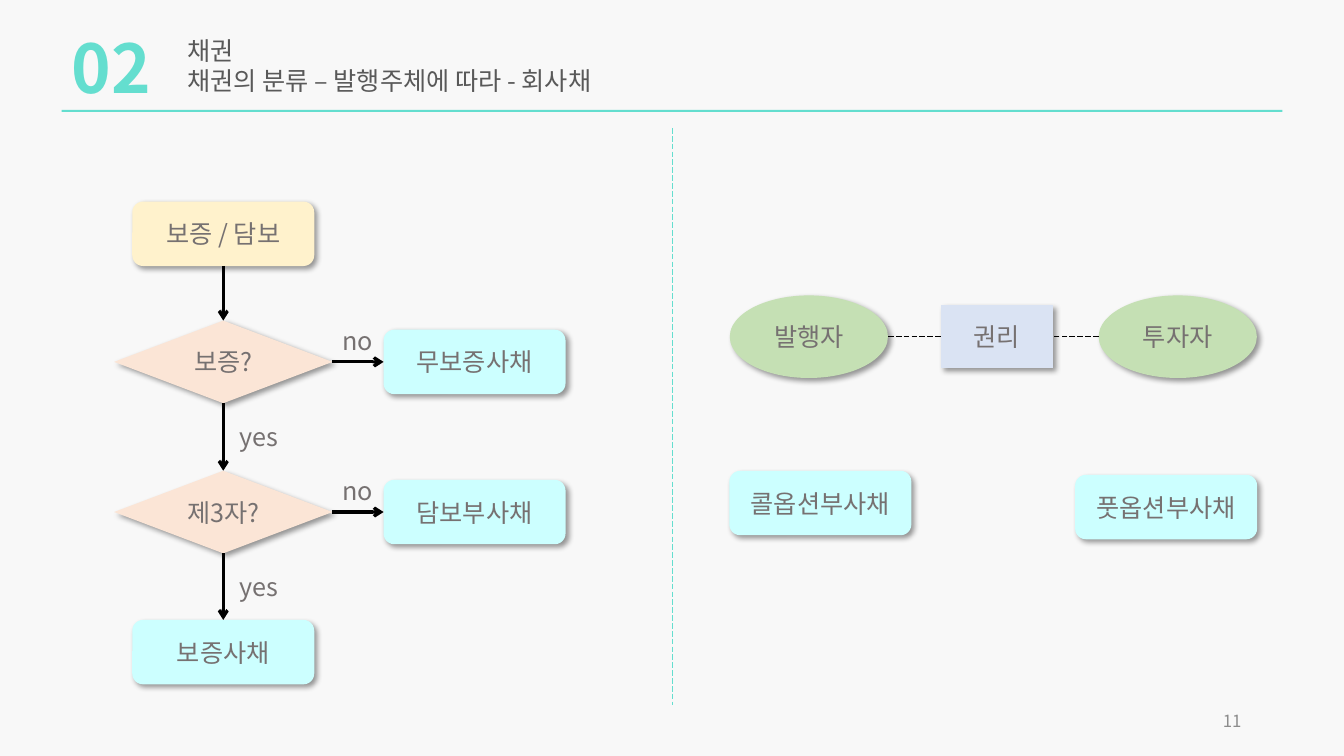
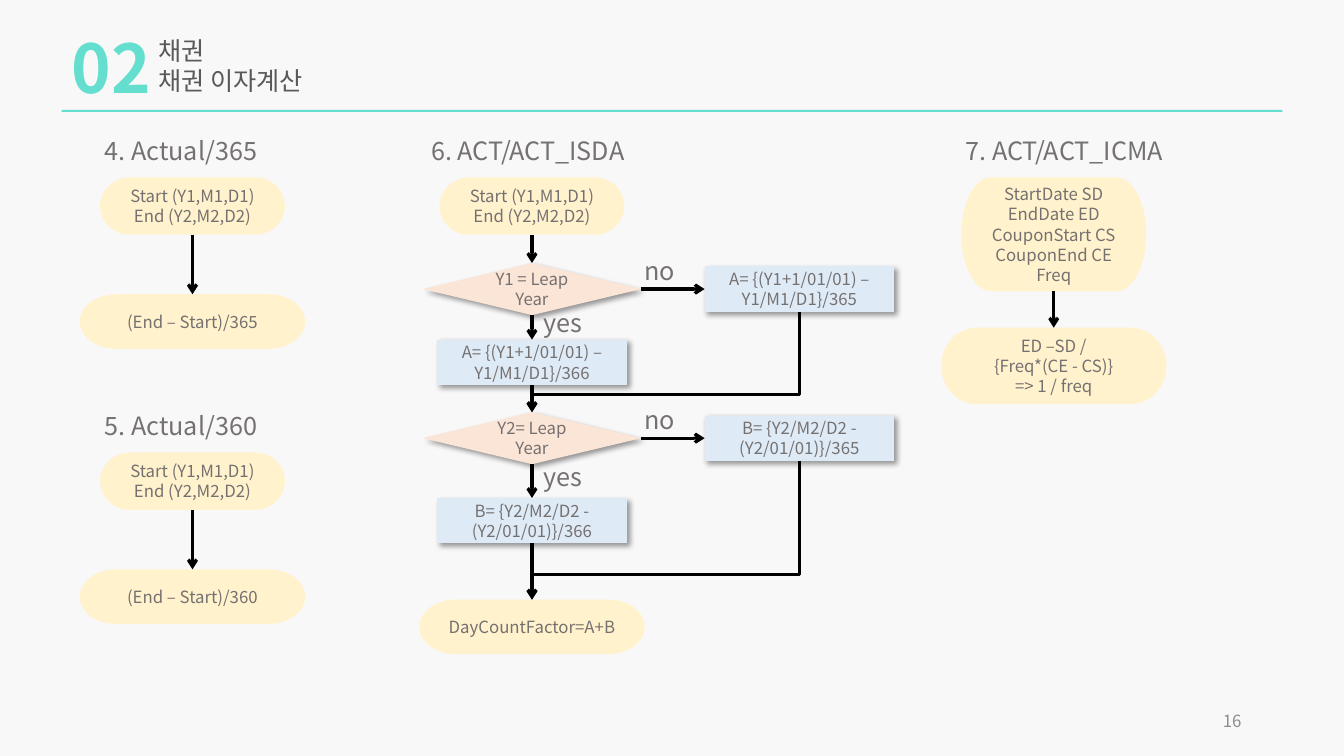
from lxml import etree
from pptx import Presentation
from pptx.dml.color import RGBColor
from pptx.enum.dml import MSO_LINE
from pptx.enum.shapes import MSO_CONNECTOR, MSO_SHAPE
from pptx.enum.text import MSO_ANCHOR, MSO_AUTO_SIZE, PP_ALIGN
from pptx.oxml.ns import qn
from pptx.util import Pt

STRAIGHT, ELBOW = MSO_CONNECTOR.STRAIGHT, MSO_CONNECTOR.ELBOW
LONG_DASH = MSO_LINE.LONG_DASH
LEFT, CENTER, RIGHT = PP_ALIGN.LEFT, PP_ALIGN.CENTER, PP_ALIGN.RIGHT
TOP, MIDDLE = MSO_ANCHOR.TOP, MSO_ANCHOR.MIDDLE
ROUNDED, OVAL = MSO_SHAPE.ROUNDED_RECTANGLE, MSO_SHAPE.OVAL
DECISION = MSO_SHAPE.FLOWCHART_DECISION
PROCESS = MSO_SHAPE.FLOWCHART_PROCESS
TERMINATOR = MSO_SHAPE.FLOWCHART_TERMINATOR
SITE_TOP, SITE_LEFT, SITE_BOTTOM, SITE_RIGHT = range(4)

FONT = "Noto Sans CJK KR"
COLORS = {
    "background": "F8F8F8", "accent": "64DECF", "title": "595959",
    "text": "767171", "page": "8C8C8C", "black": "000000",
    "yellow": "FFF2CC", "peach": "FBE5D6", "aqua": "CCFFFF",
    "green": "C5E0B4", "lavender": "DAE3F3", "sky": "DEEBF7",
}
# kind: shape, width, height, fill, shadow, text size
NODES = {
    "topic": (ROUNDED, 130, 46, "yellow", True, 18),
    "bond": (ROUNDED, 130, 46, "aqua", True, 18),
    "question": (DECISION, 156, 59, "peach", True, 18),
    "party": (OVAL, 113, 59, "green", True, 18),
    "right": (PROCESS, 80, 45, "lavender", True, 18),
    "leap": (DECISION, 156, 37.2, "peach", True, 12),
    "formula": (PROCESS, 135.4, 32.4, "sky", True, 12),
    "dates": (TERMINATOR, 132, 41, "yellow", False, 12),
    "result": (TERMINATOR, 161, 39, "yellow", False, 12),
}


def rgb(name):
    return RGBColor.from_string(COLORS[name])


def write(frame, text, size, color="text", align=LEFT, anchor=TOP, bold=False):
    frame.text = text
    frame.word_wrap = True
    frame.auto_size = MSO_AUTO_SIZE.NONE
    frame.vertical_anchor = anchor
    for paragraph in frame.paragraphs:
        paragraph.alignment = align
        font = paragraph.font
        font.name, font.size, font.bold = FONT, Pt(size), bold
        font.color.rgb = rgb(color)
        # East Asian typeface for the Korean text
        defaults = paragraph._p.pPr.find(qn("a:defRPr"))
        etree.SubElement(defaults, qn("a:ea"), typeface=FONT)


def label(slide, text, left, top, width=80, height=28.8, size=18, **style):
    box = slide.shapes.add_textbox(Pt(left), Pt(top), Pt(width), Pt(height))
    write(box.text_frame, text, size, **style)


def filled_shape(slide, preset, left, top, width, height, fill):
    shape = slide.shapes.add_shape(preset, Pt(left), Pt(top), Pt(width), Pt(height))
    shape.shadow.inherit = False
    shape.fill.solid()
    shape.fill.fore_color.rgb = rgb(fill)
    shape.line.fill.background()
    return shape


def cast_shadow(shape):
    effects = shape._element.spPr.find(qn("a:effectLst"))
    shadow = etree.SubElement(effects, qn("a:outerShdw"), blurRad="50800", dist="38100",
                              dir="2700000", algn="tl", rotWithShape="0")
    black = etree.SubElement(shadow, qn("a:srgbClr"), val=COLORS["black"])
    etree.SubElement(black, qn("a:alpha"), val="40000")


def node(slide, kind, text, center_x, center_y, height=None):
    preset, width, usual_height, fill, shadow, size = NODES[kind]
    height = height or usual_height
    shape = filled_shape(slide, preset, center_x - width / 2, center_y - height / 2,
                         width, height, fill)
    if shadow:
        cast_shadow(shape)
    write(shape.text_frame, text, size, align=CENTER, anchor=MIDDLE)
    return shape


def line(slide, start=(0, 0), end=(0, 0), kind=STRAIGHT, color="black", width=2.25,
         dash=None, arrow=False):
    connector = slide.shapes.add_connector(kind, *map(Pt, (*start, *end)))
    connector.line.color.rgb = rgb(color)
    connector.line.width = Pt(width)
    if dash:
        connector.line.dash_style = dash
    if arrow:
        outline = connector.line._get_or_add_ln()
        etree.SubElement(outline, qn("a:tailEnd"), type="arrow")
    etree.SubElement(connector._element.spPr, qn("a:effectLst"))
    return connector


def arrow(slide, source, target, sites=(SITE_BOTTOM, SITE_TOP), kind=STRAIGHT):
    connector = line(slide, kind=kind, arrow=True)
    connector.begin_connect(source, sites[0])
    connector.end_connect(target, sites[1])
    return connector


def across(slide, source, target):
    arrow(slide, source, target, (SITE_RIGHT, SITE_LEFT))


def chain(slide, nodes):
    for source, target in zip(nodes, nodes[1:]):
        arrow(slide, source, target)


def merge_back(slide, source, target):
    """Elbow that leaves downwards, turns left and enters the target from above."""
    elbow = arrow(slide, source, target, kind=ELBOW)
    x1, y1, x2, y2 = elbow.begin_x, elbow.begin_y, elbow.end_x, elbow.end_y
    # The box is stated before its quarter turn, so its sides swap
    width, height = y2 - y1, x1 - x2
    elbow.left, elbow.top = (x1 + x2 - width) // 2, (y1 + y2 - height) // 2
    elbow.width, elbow.height = width, height
    frame = elbow._element.spPr.find(qn("a:xfrm"))
    frame.attrib.pop("flipH", None)
    frame.set("rot", "5400000")
    adjustments = elbow._element.spPr.find(qn("a:prstGeom")).find(qn("a:avLst"))
    etree.SubElement(adjustments, qn("a:gd"), name="adj1", fmla="val 82200")


def add_slide(prs, subtitle, title_left, page):
    slide = prs.slides.add_slide(prs.slide_layouts[5])
    title = slide.shapes.title
    title.left, title.top, title.width, title.height = map(Pt, (title_left, 21.6, 365, 51))
    write(title.text_frame, "채권\n" + subtitle, 18, "title")
    filled_shape(slide, MSO_SHAPE.RECTANGLE, 44, 78.5, 872, 1.5, "accent")
    label(slide, "02", 44, 15, 75, 65.5, 48, color="accent", bold=True)
    label(slide, page, 678, 500.4, 216, size=12, color="page", align=RIGHT, anchor=MIDDLE)
    return slide


def corporate_bonds(prs):
    slide = add_slide(prs, "채권의 분류 – 발행주체에 따라 - 회사채", 126.7, "11")

    # Decision flow
    flow_x, side_x = 159.5, 339
    steps = [node(slide, "topic", "보증 / 담보", flow_x, 167)]
    for question, no_bond, y in (("보증?", "무보증사채", 258.5),
                                 ("제3자?", "담보부사채", 365.75)):
        decision = node(slide, "question", question, flow_x, y)
        across(slide, decision, node(slide, "bond", no_bond, side_x, y))
        label(slide, "yes", 164, y + 39)
        label(slide, "no", 237.6, y - 30)
        steps.append(decision)
    steps.append(node(slide, "bond", "보증사채", flow_x, 465.8))
    chain(slide, steps)

    line(slide, (480, 91.4), (480, 503.3), color="accent", width=0.5, dash=LONG_DASH)

    # Issuer, right and investor
    party_y = 240.5
    issuer_x, right_x, investor_x = 577.8, 712, 841.3
    node(slide, "party", "발행자", issuer_x, party_y)
    node(slide, "party", "투자자", investor_x, party_y)
    right = node(slide, "right", "권리", right_x, party_y)
    half_party = NODES["party"][1] / 2
    for edge_x, site in ((issuer_x + half_party, SITE_LEFT),
                         (investor_x - half_party, SITE_RIGHT)):
        link = line(slide, (edge_x, party_y), (right_x, party_y), width=0.5, dash=LONG_DASH)
        link.end_connect(right, site)

    # Option bonds
    node(slide, "bond", "콜옵션부사채", 586, 359.3)
    node(slide, "bond", "풋옵션부사채", 833, 362.2)


def day_counts(prs):
    slide = add_slide(prs, "채권 이자계산", 105.8, "16")
    dates = "Start (Y1,M1,D1)\nEnd (Y2,M2,D2)"
    heading_y, dates_y = 92.9, 147.2

    # Fixed-year conventions
    for number, days, shift in ((4, 365, 0), (5, 360, 196.5)):
        label(slide, f"{number}. Actual/{days}", 67.7, heading_y + shift, 202)
        chain(slide, [node(slide, "dates", dates, 137.5, dates_y + shift),
                      node(slide, "result", f"(End – Start)/{days}", 137.5, 229.7 + shift)])

    # ISDA convention
    flow_x, side_x = 380, 571
    label(slide, "6. ACT/ACT_ISDA", 301, heading_y, 174)
    steps = [node(slide, "dates", dates, flow_x, dates_y)]
    common_year = []
    for question, formula, y, leap_y, yes_y in (
            ("Y1 = Leap Year", "A= {(Y1+1/01/01) – Y1/M1/D1}/", 206.5, 258.8, 216),
            ("Y2= Leap Year", "B= {Y2/M2/D2 -(Y2/01/01)}/", 313, 371.9, 326.2)):
        decision = node(slide, "leap", question, flow_x, y)
        common = node(slide, "formula", formula + "365", side_x, y)
        across(slide, decision, common)
        common_year.append(common)
        steps += [decision, node(slide, "formula", formula + "366", flow_x, leap_y)]
        label(slide, "yes", 381, yes_y)
        label(slide, "no", 453, y - 28)
    steps.append(node(slide, "result", "DayCountFactor=A+B", flow_x, 447.8))
    chain(slide, steps)
    for common, target in zip(common_year, steps[3::2]):
        merge_back(slide, common, target)

    # ICMA convention
    label(slide, "7. ACT/ACT_ICMA", 682.6, heading_y, 202)
    coupon_dates = "StartDate SD\nEndDate ED\nCouponStart CS\nCouponEnd CE\nFreq"
    coupon_result = "ED –SD /\n{Freq*(CE - CS)}\n=> 1 / freq"
    chain(slide, [node(slide, "dates", coupon_dates, 752.7, 167.4, 81.4),
                  node(slide, "result", coupon_result, 752.7, 261.4, 54.7)])


def main():
    prs = Presentation()
    prs.slide_width, prs.slide_height = Pt(960), Pt(540)
    backdrop = prs.slide_master.background.fill
    backdrop.solid()
    backdrop.fore_color.rgb = rgb("background")
    corporate_bonds(prs)
    day_counts(prs)
    prs.save("out.pptx")


if __name__ == "__main__":
    main()
